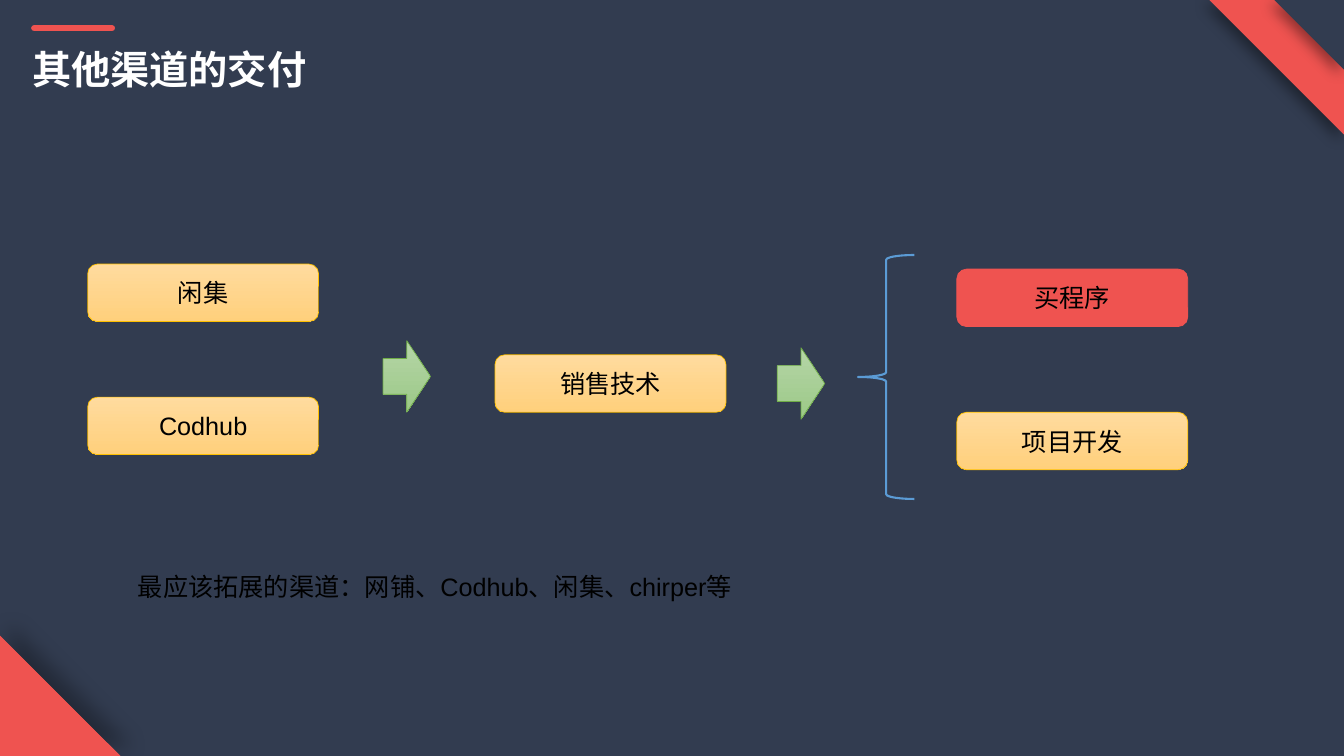
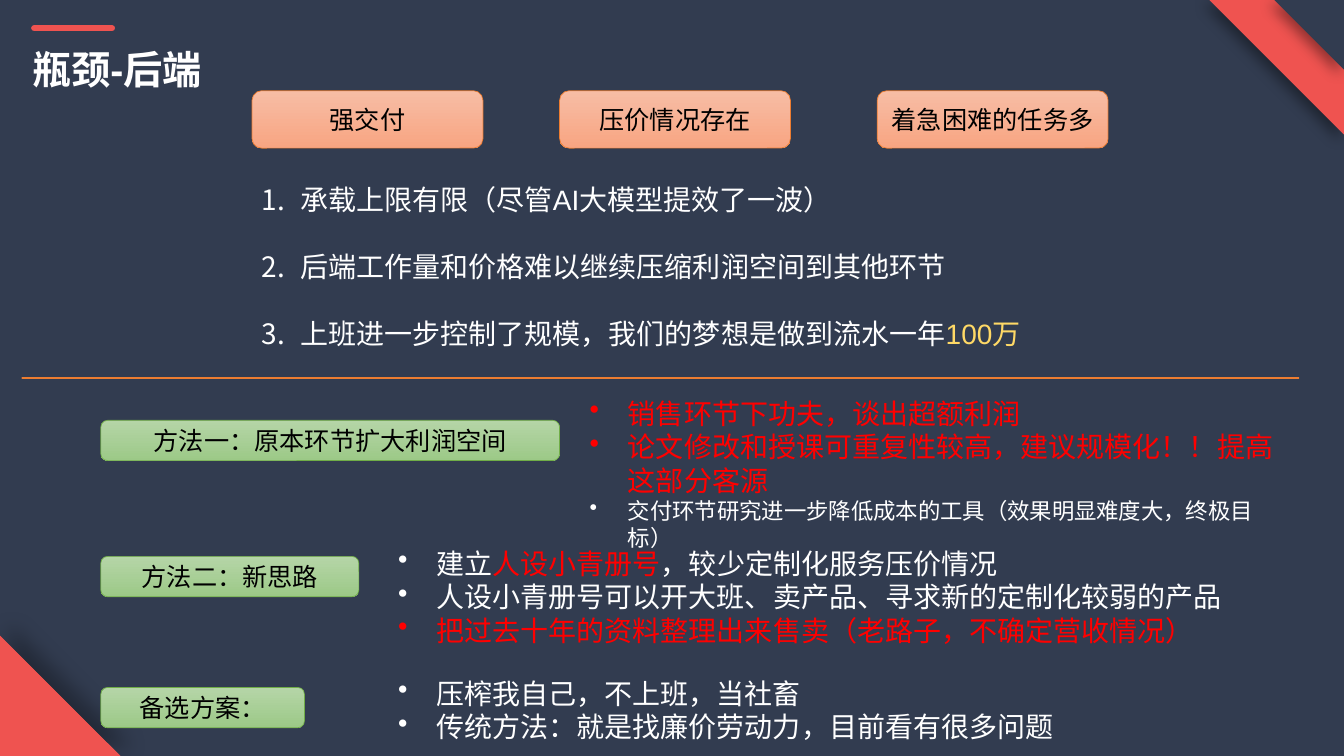
"""Build two dark slides on delivery channels and the back-end bottleneck."""
from lxml import etree
from pptx import Presentation
from pptx import util as u
from pptx.dml.color import RGBColor
from pptx.enum import shapes, text
from pptx.oxml import ns

Inches = u.Inches
KIND = shapes.MSO_SHAPE
HUES = {
    "navy": "323C50", "coral": "EF5350", "white": "FFFFFF", "black": "000000",
    "red": "FF0000", "gold": "FFD966", "blue": "5B9BD5", "orange": "ED7D31",
}
FILLS = {
    "yellow": ("FFDB9E", "FFD07C", "FFC000"),
    "green": ("B5D5A7", "9CC987", "70AD47"),
    "peach": ("F7BDA5", "F8A582", "ED7D31"),
    "coral": ("EF5350", "EF5350", "EF5350"),
}
MARKS = {"dot": ("buChar", "char", "•"), "num": ("buAutoNum", "type", "arabicPeriod")}
TITLE = {"size": u.Pt(28), "bold": True}
LABEL = {"size": u.Pt(18)}
BODY = {"size": u.Pt(20)}
SMALL = {"size": u.Pt(16)}


def add(slide, kind, spot, fill=None, line=None):
    """Add a preset shape with a plain or graded fill."""
    shape = slide.shapes.add_shape(kind, *map(Inches, spot))
    shape.shadow.inherit = False
    if fill in FILLS:
        top, low, edge = FILLS[fill]
        if top == low:
            shape.fill.solid()
            shape.fill.fore_color.rgb = RGBColor.from_string(top)
        else:
            shape.fill.gradient()
            shape.fill.gradient_angle = 270
            for stop, hue in zip(shape.fill.gradient_stops, (top, low)):
                stop.color.rgb = RGBColor.from_string(hue)
        shape.line.color.rgb = RGBColor.from_string(edge)
        shape.line.width = u.Pt(0.5)
    elif line:
        shape.fill.background()
        shape.line.color.rgb = RGBColor.from_string(HUES[line])
        shape.line.width = u.Pt(1.5)
    else:
        shape.fill.solid()
        shape.fill.fore_color.rgb = RGBColor.from_string(HUES[fill])
        shape.line.fill.background()
    return shape


def write(shape, paras, align=text.PP_ALIGN.LEFT, mark=None, gap=0):
    """Fill a shape with paragraphs, each a list of words, colour and format."""
    frame = shape.text_frame
    frame.word_wrap = True
    for i, runs in enumerate(paras):
        para = frame.add_paragraph() if i else frame.paragraphs[0]
        para.alignment = align
        if i and gap:
            para.space_before = u.Pt(gap)
        if mark:
            tag, key, value = MARKS[mark]
            props = para._p.get_or_add_pPr()
            props.set("marL", str(Inches(0.38)))
            props.set("indent", str(-Inches(0.38)))
            etree.SubElement(props, ns.qn("a:" + tag)).set(key, value)
        for words, hue, style in runs:
            run = para.add_run()
            run.text = words
            run.font.name = "Arial"
            run.font.color.rgb = RGBColor.from_string(HUES[hue])
            for name, value in style.items():
                setattr(run.font, name, value)


deck = Presentation()
deck.slide_width, deck.slide_height = Inches(13.33), Inches(7.5)

corners = [
    (12, 0, 1.33, 180, "coral", 40, 10, 5, 135),
    (0, 6.31, 1.19, 0, "coral", 30, 15, 10, 315),
    (12.64, 0, 0.69, 180, "navy", 40, 10, 5, 135),
]
pages = []
for title, wide, rules in [
    ("其他渠道的交付", 2.95, []),
    ("瓶颈-后端", 1.9, [(0.22, 12.88, 3.75, "orange", 1)]),
]:
    slide = deck.slides.add_slide(deck.slide_layouts[6])
    slide.background.fill.solid()
    slide.background.fill.fore_color.rgb = RGBColor.from_string(HUES["navy"])
    for x, y, side, turn, hue, alpha, blur, dist, way in corners:
        wedge = add(slide, KIND.RIGHT_TRIANGLE, (x, y, side, side), hue)
        wedge.rotation = turn
        glow = wedge._element.spPr.find(ns.qn("a:effectLst"))
        cast = etree.SubElement(
            glow, ns.qn("a:outerShdw"), blurRad=str(u.Pt(blur)),
            dist=str(u.Pt(dist)), dir=str(way * 60000), rotWithShape="0")
        ink = etree.SubElement(cast, ns.qn("a:srgbClr"), val=HUES["black"])
        etree.SubElement(ink, ns.qn("a:alpha"), val=str(alpha * 1000))
    for x, end, y, hue, width in [(0.34, 1.11, 0.28, "coral", 4.5)] + rules:
        rule = slide.shapes.add_connector(
            shapes.MSO_CONNECTOR.STRAIGHT, Inches(x), Inches(y), Inches(end), Inches(y))
        rule.line.color.rgb = RGBColor.from_string(HUES[hue])
        rule.line.width = u.Pt(width)
        rule.line._get_or_add_ln().set("cap", "rnd")
        etree.SubElement(rule._element.spPr, ns.qn("a:effectLst"))
    head = slide.shapes.add_textbox(*map(Inches, (0.22, 0.4, wide, 0.57)))
    write(head, [[(title, "white", TITLE)]])
    pages.append(slide)
sales, limits = pages

for slide, words, x, y, wide, high, fill in [
    (sales, "闲集", 0.87, 2.62, 2.29, 0.57, "yellow"),
    (sales, "Codhub", 0.87, 3.94, 2.29, 0.57, "yellow"),
    (sales, "销售技术", 4.91, 3.52, 2.29, 0.57, "yellow"),
    (sales, "买程序", 9.49, 2.67, 2.29, 0.57, "coral"),
    (sales, "项目开发", 9.49, 4.09, 2.29, 0.57, "yellow"),
    (limits, "强交付", 2.5, 0.9, 2.29, 0.57, "peach"),
    (limits, "压价情况存在", 5.55, 0.9, 2.29, 0.57, "peach"),
    (limits, "着急困难的任务多", 8.7, 0.9, 2.29, 0.57, "peach"),
    (limits, "方法一：原本环节扩大利润空间", 1, 4.17, 4.55, 0.4, "green"),
    (limits, "方法二：新思路", 1, 5.52, 2.56, 0.4, "green"),
    (limits, "备选方案：", 1, 6.82, 2.02, 0.4, "green"),
]:
    chip = add(slide, KIND.ROUNDED_RECTANGLE, (x, y, wide, high), fill)
    chip.text_frame.vertical_anchor = text.MSO_ANCHOR.MIDDLE
    write(chip, [[(words, "black", LABEL)]], text.PP_ALIGN.CENTER)

for x, y in [(3.8, 3.38), (7.71, 3.45)]:
    add(sales, KIND.RIGHT_ARROW, (x, y, 0.47, 0.71), "green")
add(sales, KIND.LEFT_BRACE, (8.51, 2.53, 0.56, 2.42), line="blue")

for slide, spot, mark, gap, paras in [
    (sales, (1.27, 5.62, 8.57, 0.4), None, 0, [
        [("最应该拓展的渠道：网铺、Codhub、闲集、chirper等", "black", LABEL)],
    ]),
    (limits, (2.5, 1.76, 8.1, 2.12), "num", 24, [
        [("承载上限有限（尽管AI大模型提效了一波）", "white", BODY)],
        [("后端工作量和价格难以继续压缩利润空间到其他环节", "white", BODY)],
        [("上班进一步控制了规模，我们的梦想是做到流水一年", "white", BODY),
         ("100万", "gold", BODY)],
    ]),
    (limits, (5.75, 3.88, 7.14, 1.72), "dot", 0, [
        [("销售环节下功夫，谈出超额利润", "red", BODY)],
        [("论文修改和授课可重复性较高，建议规模化！！提高这部分客源", "red", BODY)],
        [("交付环节研究进一步降低成本的工具（效果明显难度大，终极目标）", "white", SMALL)],
    ]),
    (limits, (3.85, 5.37, 8.79, 1.11), "dot", 0, [
        [("建立", "white", BODY), ("人设小青册号", "red", BODY),
         ("，较少定制化服务压价情况", "white", BODY)],
        [("人设小青册号可以开大班、卖产品、寻求新的定制化较弱的产品", "white", BODY)],
        [("把过去十年的资料整理出来售卖（老路子，不确定营收情况）", "red", BODY)],
    ]),
    (limits, (3.85, 6.66, 7.14, 0.77), "dot", 0, [
        [("压榨我自己，不上班，当社畜", "white", BODY)],
        [("传统方法：就是找廉价劳动力，目前看有很多问题", "white", BODY)],
    ]),
]:
    note = slide.shapes.add_textbox(*map(Inches, spot))
    write(note, paras, mark=mark, gap=gap)

deck.save("out.pptx")
